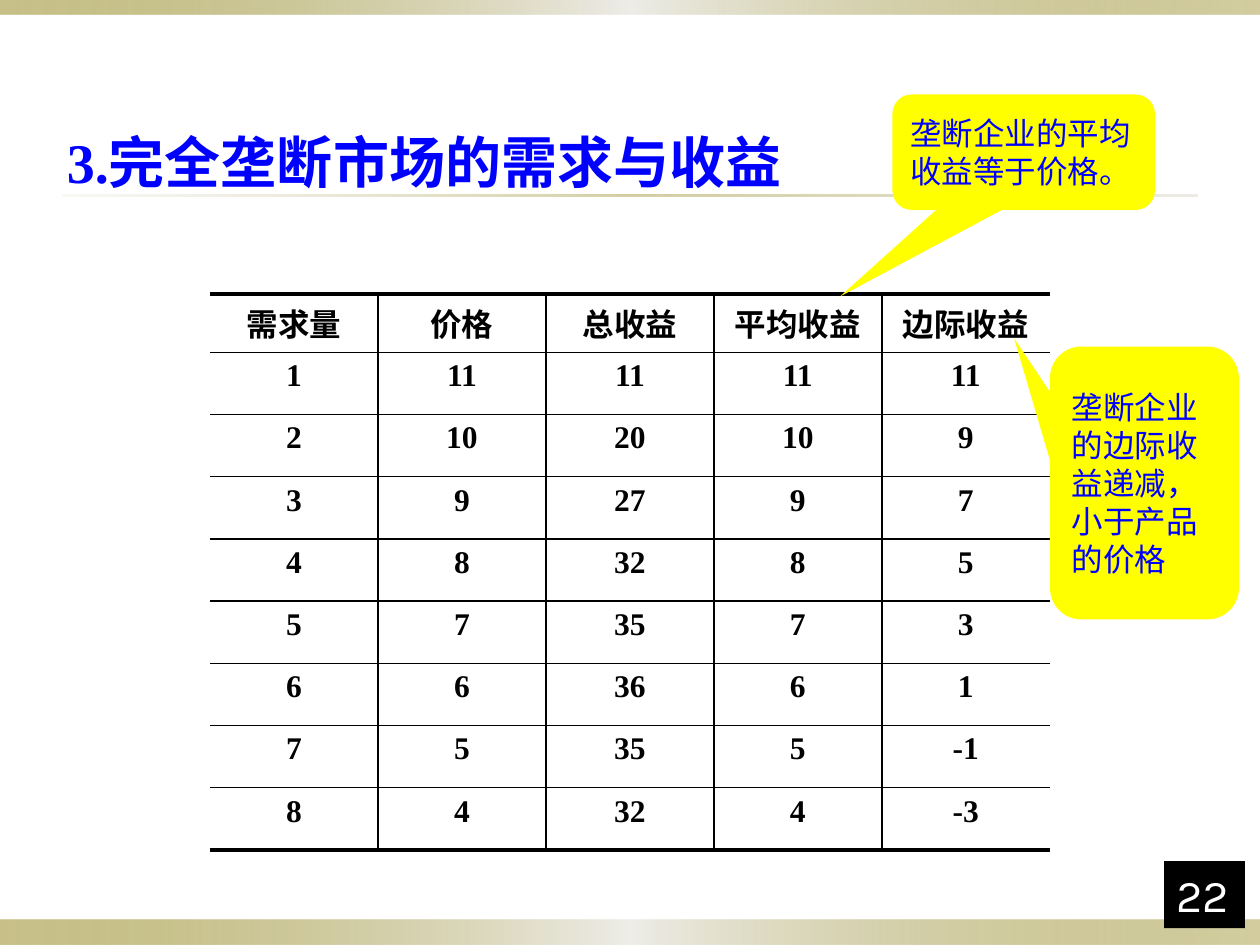
from dataclasses import dataclass

from lxml.etree import SubElement
from pptx import Presentation
from pptx.dml.color import RGBColor as RGB
from pptx.enum.shapes import MSO_SHAPE as SHAPE
from pptx.enum.text import MSO_ANCHOR as ANCHOR, MSO_AUTO_SIZE as AUTO, PP_ALIGN as ALIGN
from pptx.oxml.ns import qn
from pptx.util import Pt


@dataclass(frozen=True)
class Theme:
    black: str = "000000"
    white: str = "FFFFFF"
    blue: str = "0000FF"
    yellow: str = "FFFF00"
    olive: str = "918415"
    pale: str = "EEEDE8"
    sand: str = "DCD9CC"
    serif: str = "Times New Roman"
    sans: str = "Arial"
    note: str = "Karla"
    title_size: int = 32
    text_size: int = 18
    number_size: int = 26
    thin: float = 1
    thick: float = 2.25


class SlideBuilder:
    def __init__(self, slide, theme):
        self.s, self.t = slide, theme

    def add_text(self, tf, text, font, size, color, bold=False, align=ALIGN.LEFT):
        p = tf.paragraphs[0]
        p.alignment = align
        r = p.add_run()
        r.text = text
        for name, value in dict(name=font, size=Pt(size), bold=bold).items():
            setattr(r.font, name, value)
        r.font.color.rgb = RGB.from_string(color)

    def title(self, text, box):
        sp = self.s.shapes.title
        sp.left, sp.top, sp.width, sp.height = map(Pt, box)
        tf = sp.text_frame
        frame = dict(auto_size=AUTO.NONE, word_wrap=True, vertical_anchor=ANCHOR.TOP)
        for name, value in frame.items():
            setattr(tf, name, value)
        self.add_text(tf, text, self.t.serif, self.t.title_size, self.t.blue, bold=True)

    def shape(self, kind, box, color=None):
        sp = self.s.shapes.add_shape(kind, *map(Pt, box))
        sp.shadow.inherit = False
        sp.line.fill.background()
        if color:
            sp.fill.solid()
            sp.fill.fore_color.rgb = RGB.from_string(color)
        return sp

    def band(self, box, stops):
        """Horizontal gradient bar; stops are (colour, opacity percent), evenly spread."""
        sp = self.shape(SHAPE.RECTANGLE, box)
        sp.fill.gradient()
        sp.fill.gradient_angle = 0
        gs_list = sp._element.spPr.find(".//" + qn("a:gsLst"))
        for gs in list(gs_list):
            gs_list.remove(gs)
        for i, (color, opacity) in enumerate(stops):
            pos = 100000 * i // (len(stops) - 1)
            gs = SubElement(gs_list, qn("a:gs"), pos=str(pos))
            clr = SubElement(gs, qn("a:srgbClr"), val=color)
            SubElement(clr, qn("a:alpha"), val=str(opacity * 1000))

    def callout(self, text, box, tip):
        sp = self.shape(SHAPE.ROUNDED_RECTANGULAR_CALLOUT, box, self.t.yellow)
        for i, value in enumerate((*tip, 0.167)):
            sp.adjustments[i] = value
        tf = sp.text_frame
        tf.word_wrap, tf.vertical_anchor = True, ANCHOR.MIDDLE
        self.add_text(tf, text, self.t.note, self.t.text_size, self.t.blue)

    def page_number(self, text, box):
        tf = self.shape(SHAPE.RECTANGLE, box, self.t.black).text_frame
        tf.word_wrap, tf.vertical_anchor = True, ANCHOR.BOTTOM
        self.add_text(tf, text, self.t.note, self.t.number_size, self.t.white)

    def borders(self, cell, widths):
        """Draw one line per side; a width of 0 leaves that side open."""
        tc_pr = cell._tc.get_or_add_tcPr()
        for side, width in widths.items():
            ln = SubElement(tc_pr, qn("a:ln" + side), w=str(Pt(width)))
            if width:
                fill = SubElement(ln, qn("a:solidFill"))
                SubElement(fill, qn("a:srgbClr"), val=self.t.black)
            else:
                SubElement(ln, qn("a:noFill"))

    def table(self, rows, box, header_height):
        t = self.t
        last_row, last_col = len(rows) - 1, len(rows[0]) - 1
        width, height = box[2:]
        body_height = (height - header_height) / last_row
        tbl = self.s.shapes.add_table(last_row + 1, last_col + 1, *map(Pt, box)).table
        tbl.first_row = tbl.horz_banding = False
        for col in tbl.columns:
            col.width = Pt(width / (last_col + 1))
        for i, values in enumerate(rows):
            tbl.rows[i].height = Pt(body_height if i else header_height)
            for j, value in enumerate(values):
                cell = tbl.cell(i, j)
                self.add_text(cell.text_frame, str(value), t.serif if i else t.sans,
                              t.text_size, t.black, bold=True, align=ALIGN.CENTER)
                self.borders(cell, {
                    "L": t.thin if j else 0,
                    "R": t.thin if j < last_col else 0,
                    "T": t.thin if i else t.thick,
                    "B": t.thin if i < last_row else t.thick,
                })
                cell.fill.background()


def revenue_rows():
    """Price falls by one per unit sold; the revenues follow from it."""
    rows = [("需求量", "价格", "总收益", "平均收益", "边际收益")]
    previous = 0
    for quantity in range(1, 9):
        price = 12 - quantity
        total = quantity * price
        rows.append((quantity, price, total, total // quantity, total - previous))
        previous = total
    return rows


def main():
    prs = Presentation()
    prs.slide_width, prs.slide_height = Pt(720), Pt(540)
    t = Theme()
    b = SlideBuilder(prs.slides.add_slide(prs.slide_layouts[5]), t)

    edge = [(t.olive, 50), (t.pale, 100), (t.olive, 40)]
    b.band((0, 525.6, 720, 14.4), edge)
    b.band((0, 0, 720, 8.4), edge)
    b.band((36, 111, 648, 1.4), [(t.sand, 20), (t.olive, 40), (t.sand, 50)])

    b.title("3.完全垄断市场的需求与收益", (31, 69, 486, 46))
    b.table(revenue_rows(), (120, 168, 480, 313.2), header_height=28.8)
    b.callout("垄断企业的平均收益等于价格。", (510, 54, 150, 66), (-0.7, 1.25))
    b.callout("垄断企业的边际收益递减，小于产品的价格", (600, 198, 108, 156), (-0.69, -0.53))
    b.page_number("22", (665.2, 492, 46.2, 38.4))
    prs.save("out.pptx")


if __name__ == "__main__":
    main()
